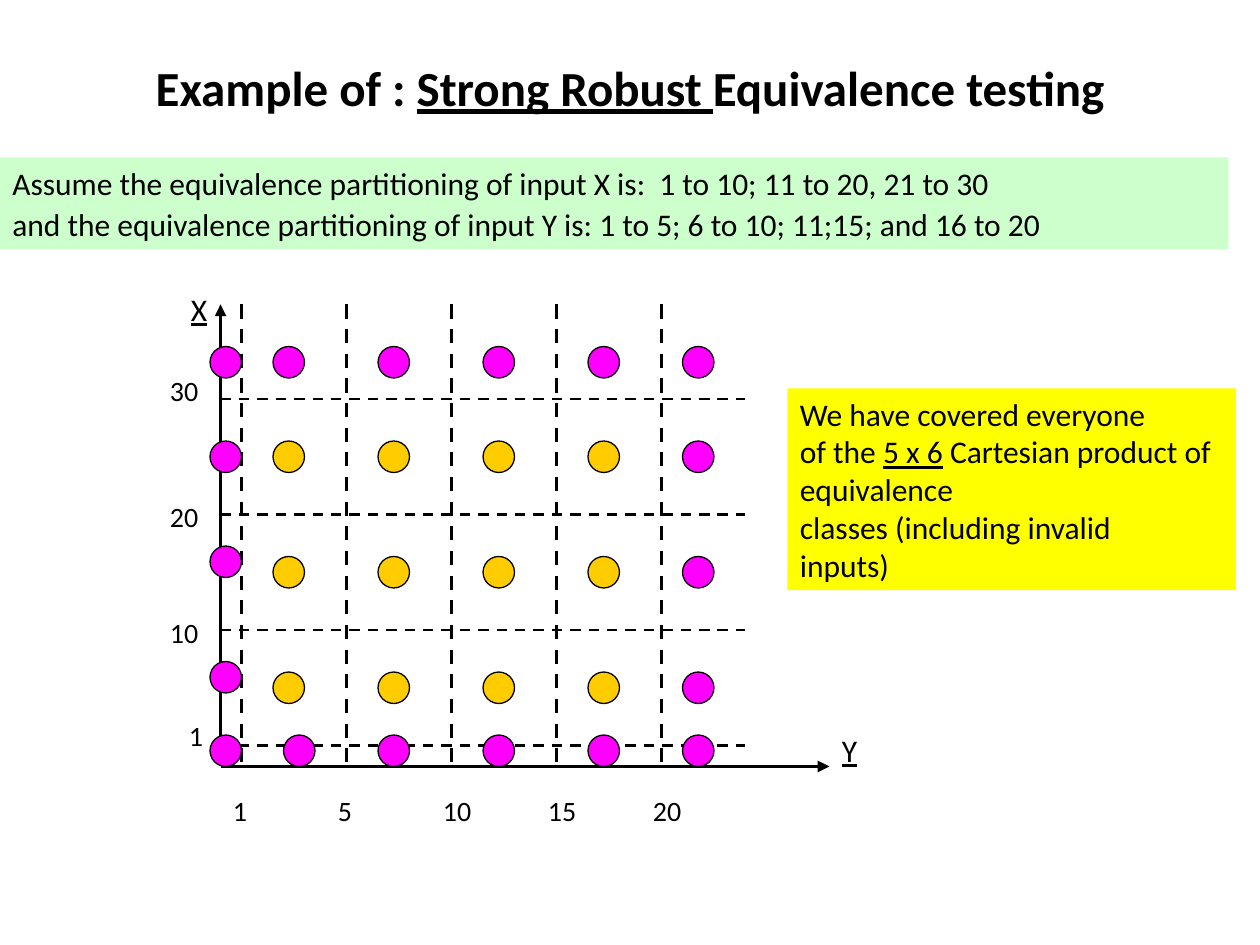
import pptx
import pptx.dml.color
import pptx.enum.dml
import pptx.enum.shapes
import pptx.enum.text
import pptx.oxml
import pptx.oxml.ns
import pptx.util

Pt = pptx.util.Pt
BLACK = pptx.dml.color.RGBColor(0x00, 0x00, 0x00)
GREEN = pptx.dml.color.RGBColor(0xCC, 0xFF, 0xCC)
YELLOW = pptx.dml.color.RGBColor(0xFF, 0xFF, 0x00)
GOLD = pptx.dml.color.RGBColor(0xFF, 0xCC, 0x00)
MAGENTA = pptx.dml.color.RGBColor(0xFF, 0x00, 0xFF)
FONT = "Calibri"
LEFT = pptx.enum.text.PP_ALIGN.LEFT
CENTER = pptx.enum.text.PP_ALIGN.CENTER
DOT = 18


def write_text(frame, paragraphs, size=18, bold=False, align=LEFT):
    """Fill a frame with paragraphs, each a list of (text, font overrides) runs."""
    for index, runs in enumerate(paragraphs):
        paragraph = frame.paragraphs[0] if index == 0 else frame.add_paragraph()
        paragraph.alignment = align
        for text, overrides in runs:
            run = paragraph.add_run()
            run.text = text
            run.font.name = FONT
            run.font.size = Pt(overrides.get("size", size))
            run.font.bold = bold
            run.font.underline = overrides.get("underline", False)
            run.font.color.rgb = BLACK


def add_text(slide, box, paragraphs, fill=None, wrap=True, **text_format):
    """Add a text box, with a solid fill when one is given."""
    panel = slide.shapes.add_textbox(*(Pt(length) for length in box))
    if fill is not None:
        panel.fill.solid()
        panel.fill.fore_color.rgb = fill
    panel.text_frame.word_wrap = wrap
    panel.text_frame.auto_size = pptx.enum.text.MSO_AUTO_SIZE.SHAPE_TO_FIT_TEXT
    write_text(panel.text_frame, paragraphs, **text_format)


def add_line(slide, start, end, width, dashed=False, arrow=False):
    """Draw a black straight line, optionally dashed or with an arrowhead."""
    line = slide.shapes.add_connector(
        pptx.enum.shapes.MSO_CONNECTOR.STRAIGHT,
        *(Pt(length) for length in (*start, *end)))
    line.line.color.rgb = BLACK
    line.line.width = Pt(width)
    if dashed:
        line.line.dash_style = pptx.enum.dml.MSO_LINE.DASH
    if arrow:
        head = pptx.oxml.parse_xml(
            f'<a:tailEnd {pptx.oxml.ns.nsdecls("a")} type="triangle"/>')
        line.line._get_or_add_ln().append(head)
    line._element.spPr.append(pptx.oxml.parse_xml(
        f'<a:effectLst {pptx.oxml.ns.nsdecls("a")}/>'))


def add_dot(slide, left, top, color):
    """Add one test-case dot."""
    dot = slide.shapes.add_shape(
        pptx.enum.shapes.MSO_SHAPE.OVAL, Pt(left), Pt(top), Pt(DOT), Pt(DOT))
    dot.shadow.inherit = False
    dot.fill.solid()
    dot.fill.fore_color.rgb = color
    dot.line.color.rgb = BLACK
    dot.line.width = Pt(0.75)


def build_title(slide, box):
    """Place and fill the title placeholder."""
    title = slide.shapes.title
    title.left, title.top, title.width, title.height = (Pt(length) for length in box)
    title.text_frame.vertical_anchor = pptx.enum.text.MSO_ANCHOR.MIDDLE
    write_text(title.text_frame, [[
        ("Example of : ", {}),
        ("Strong Robust ", {"underline": True}),
        ("Equivalence testing", {}),
    ]], size=28, bold=True, align=CENTER)


def build_assumption(slide, box):
    """Add the banner that states the partitioning."""
    add_text(slide, box, [
        [("Assume the equivalence partitioning of input X is:  "
          "1 to 10; 11 to 20, 21 to 30", {})],
        [("and the equivalence partitioning of input Y is: "
          "1 to 5; 6 to 10; 11;15; and 16 to 20", {}), (" ", {"size": 20})],
    ], fill=GREEN)


def build_axes(slide, box):
    """Draw both axes, their names, the class boundaries and their values."""
    left, top, width, height = box
    bottom = top + height
    add_line(slide, (left, bottom), (left, top), 2.25, arrow=True)
    add_line(slide, (left, bottom), (left + width, bottom), 2.25, arrow=True)
    for name, x, y in (("X", left - 24, top - 12),
                       ("Y", left + width, bottom - 24)):
        add_text(slide, (x, y, 26.5, 29), [[(name, {"underline": True})]])

    x_labels = (("1", -25.2, 406.8), ("10", -36, 348),
                ("20", -36, 282), ("30", -36, 210))
    for index, (value, offset, label_top) in enumerate(x_labels):
        y = bottom - 12 - 66 * index
        add_line(slide, (left, y), (left + 300, y), 1.5, dashed=True)
        add_text(slide, (left + offset, top + label_top - 174, 16 + 8 * len(value), 26.6),
                 [[(value, {})]], wrap=False, size=16)

    for index, value in enumerate(("1", "5", "10", "15", "20")):
        x = left + 12 + 60 * index
        add_line(slide, (x, top), (x, bottom), 2, dashed=True)
        add_text(slide, (x - 12, bottom + 12, 16 + 8 * len(value), 26.6),
                 [[(value, {})]], wrap=False, size=16)


def build_test_cases(slide, box):
    """Place the valid cases in gold and the invalid ones around them in magenta."""
    left, top = box[:2]
    columns = (-6, 30, 90, 150, 210, 264)
    rows = (24, 78, 144, 210, 246)
    nudges = {(2, 0): (0, -6), (3, 0): (0, -6), (4, 1): (6, 0)}
    for row, y in enumerate(rows):
        for column, x in enumerate(columns):
            dx, dy = nudges.get((row, column), (0, 0))
            valid = 0 < row < len(rows) - 1 and 0 < column < len(columns) - 1
            add_dot(slide, left + x + dx, top + y + dy, GOLD if valid else MAGENTA)


def build_conclusion(slide, box):
    """Add the note on coverage."""
    add_text(slide, box, [
        [("We have covered everyone", {})],
        [("of the ", {}), ("5 x 6", {"underline": True}),
         (" Cartesian product of equivalence", {})],
        [("classes (including invalid", {})],
        [("inputs)", {})],
    ], fill=YELLOW)


def main():
    """Build and save the slide."""
    deck = pptx.Presentation()
    deck.slide_width, deck.slide_height = Pt(720), Pt(540)
    slide = deck.slides.add_slide(deck.slide_layouts[5])
    plot = (126, 174, 348, 264)
    build_title(slide, (36, 21.6, 648, 56.2))
    build_assumption(slide, (0, 90, 702, 52.6))
    build_axes(slide, plot)
    build_test_cases(slide, plot)
    build_conclusion(slide, (450, 222, 256.3, 115.2))
    deck.save("out.pptx")


if __name__ == "__main__":
    main()
